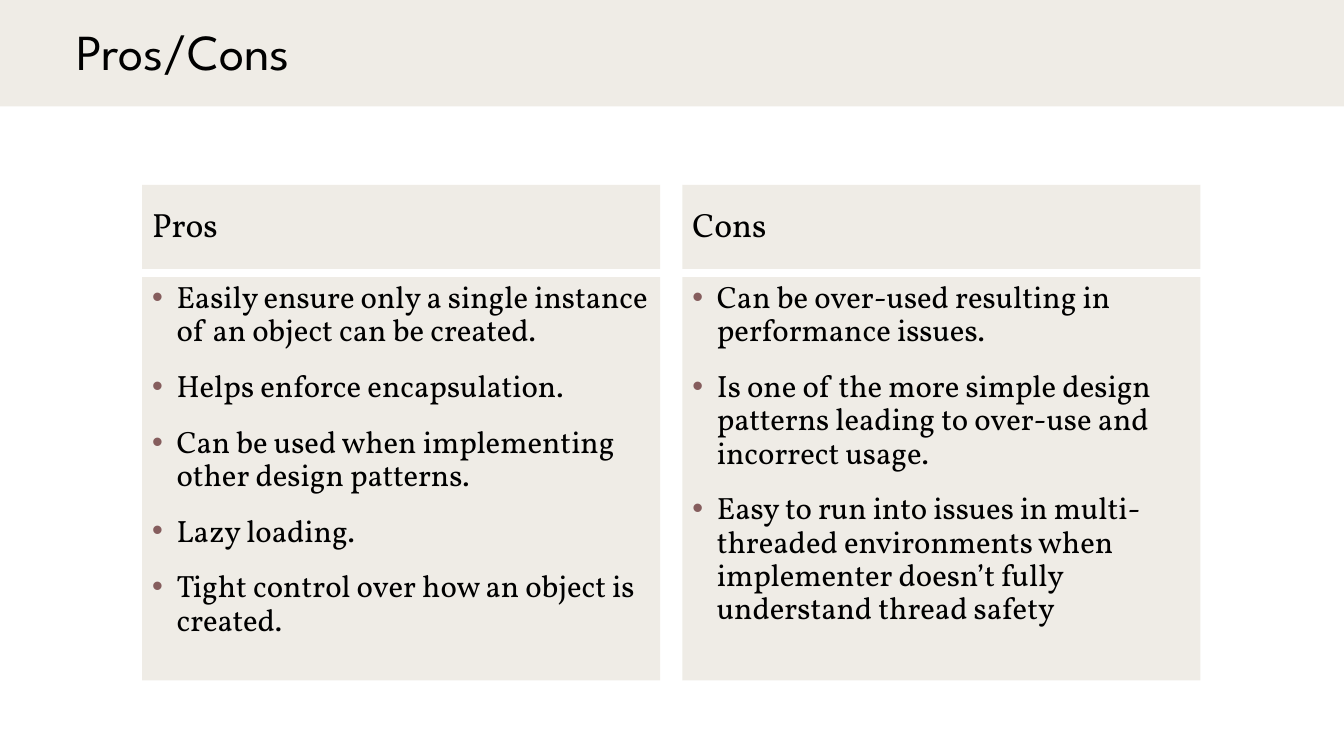
from dataclasses import dataclass

from lxml.etree import SubElement
from pptx import Presentation
from pptx.dml.color import RGBColor
from pptx.enum.shapes import MSO_SHAPE
from pptx.enum.text import MSO_ANCHOR, PP_ALIGN
from pptx.oxml.ns import qn
from pptx.util import Pt


@dataclass(frozen=True)
class Theme:
    """Colours, fonts and type sizes of the slide."""

    panel: str = "E9E5DC"
    panel_opacity: int = 70
    ink: str = "000000"
    bullet: str = "855D5D"
    title_font: str = "League Spartan"
    body_font: str = "Vollkorn"
    title_size: int = 36
    heading_size: int = 24
    body_size: int = 22


THEME = Theme()
SLIDE_WIDTH, SLIDE_HEIGHT = 960, 540
COLUMN_LEFT, COLUMN_WIDTH, COLUMN_GAP = 101.5, 370, 16
HEADING_TOP, HEADING_HEIGHT = 132, 60
LIST_TOP, LIST_HEIGHT = 198, 288
COLUMNS = {
    "Pros": [
        "Easily ensure only a single instance of an object can be created.",
        "Helps enforce encapsulation.",
        "Can be used when implementing other design patterns.",
        "Lazy loading.",
        "Tight control over how an object is created.",
    ],
    "Cons": [
        "Can be over-used resulting in performance issues.",
        "Is one of the more simple design patterns leading to over-use and incorrect usage.",
        "Easy to run into issues in multi-threaded environments when implementer "
        "doesn\u2019t fully understand thread safety",
    ],
}


def add_panel(slide, left, top, width, height):
    """Add a translucent rectangle without outline or shadow."""
    shape = slide.shapes.add_shape(
        MSO_SHAPE.RECTANGLE, Pt(left), Pt(top), Pt(width), Pt(height)
    )
    shape.shadow.inherit = False
    shape.line.fill.background()
    shape.fill.solid()
    shape.fill.fore_color.rgb = RGBColor.from_string(THEME.panel)
    color = shape.fill._xPr.find(".//" + qn("a:srgbClr"))
    SubElement(color, qn("a:alpha"), val=str(THEME.panel_opacity * 1000))
    return shape


def add_bullet(paragraph):
    """Give a paragraph a coloured bullet and a hanging indent."""
    properties = paragraph._p.get_or_add_pPr()
    properties.set("marL", str(Pt(17.5)))
    properties.set("indent", str(Pt(-18)))
    color = SubElement(properties, qn("a:buClr"))
    SubElement(color, qn("a:srgbClr"), val=THEME.bullet)
    SubElement(properties, qn("a:buFont"), typeface="Arial")
    SubElement(properties, qn("a:buChar"), char="\u2022")


def write_text(shape, *texts, size, font=THEME.body_font,
               anchor=MSO_ANCHOR.MIDDLE, space_before=0, bulleted=False):
    """Write one left-aligned paragraph per text into a shape."""
    frame = shape.text_frame
    frame.word_wrap = True
    frame.vertical_anchor = anchor
    for index, text in enumerate(texts):
        paragraph = frame.add_paragraph() if index else frame.paragraphs[0]
        paragraph.alignment = PP_ALIGN.LEFT
        paragraph.line_spacing = 0.9
        paragraph.space_before = Pt(space_before)
        if bulleted:
            add_bullet(paragraph)
        run = paragraph.add_run()
        run.text = text
        run.font.name = font
        run.font.size = Pt(size)
        run.font.color.rgb = RGBColor.from_string(THEME.ink)


def add_title(slide, text):
    """Add the title over its full-width band."""
    add_panel(slide, 0, -2, SLIDE_WIDTH, 78)
    box = slide.shapes.add_textbox(Pt(47.5), Pt(0), Pt(911.5), Pt(78))
    write_text(box, text, size=THEME.title_size, font=THEME.title_font)


def add_column(slide, left, heading, points):
    """Add a heading panel with a bulleted panel below it."""
    heading_panel = add_panel(slide, left, HEADING_TOP, COLUMN_WIDTH, HEADING_HEIGHT)
    write_text(heading_panel, heading, size=THEME.heading_size)
    list_panel = add_panel(slide, left, LIST_TOP, COLUMN_WIDTH, LIST_HEIGHT)
    write_text(list_panel, *points, size=THEME.body_size,
               anchor=MSO_ANCHOR.TOP, space_before=16, bulleted=True)


def main():
    """Build and save the slide."""
    presentation = Presentation()
    presentation.slide_width = Pt(SLIDE_WIDTH)
    presentation.slide_height = Pt(SLIDE_HEIGHT)
    slide = presentation.slides.add_slide(presentation.slide_layouts[6])
    add_title(slide, "Pros/Cons")
    for index, (heading, points) in enumerate(COLUMNS.items()):
        left = COLUMN_LEFT + index * (COLUMN_WIDTH + COLUMN_GAP)
        add_column(slide, left, heading, points)
    presentation.save("out.pptx")


main()
